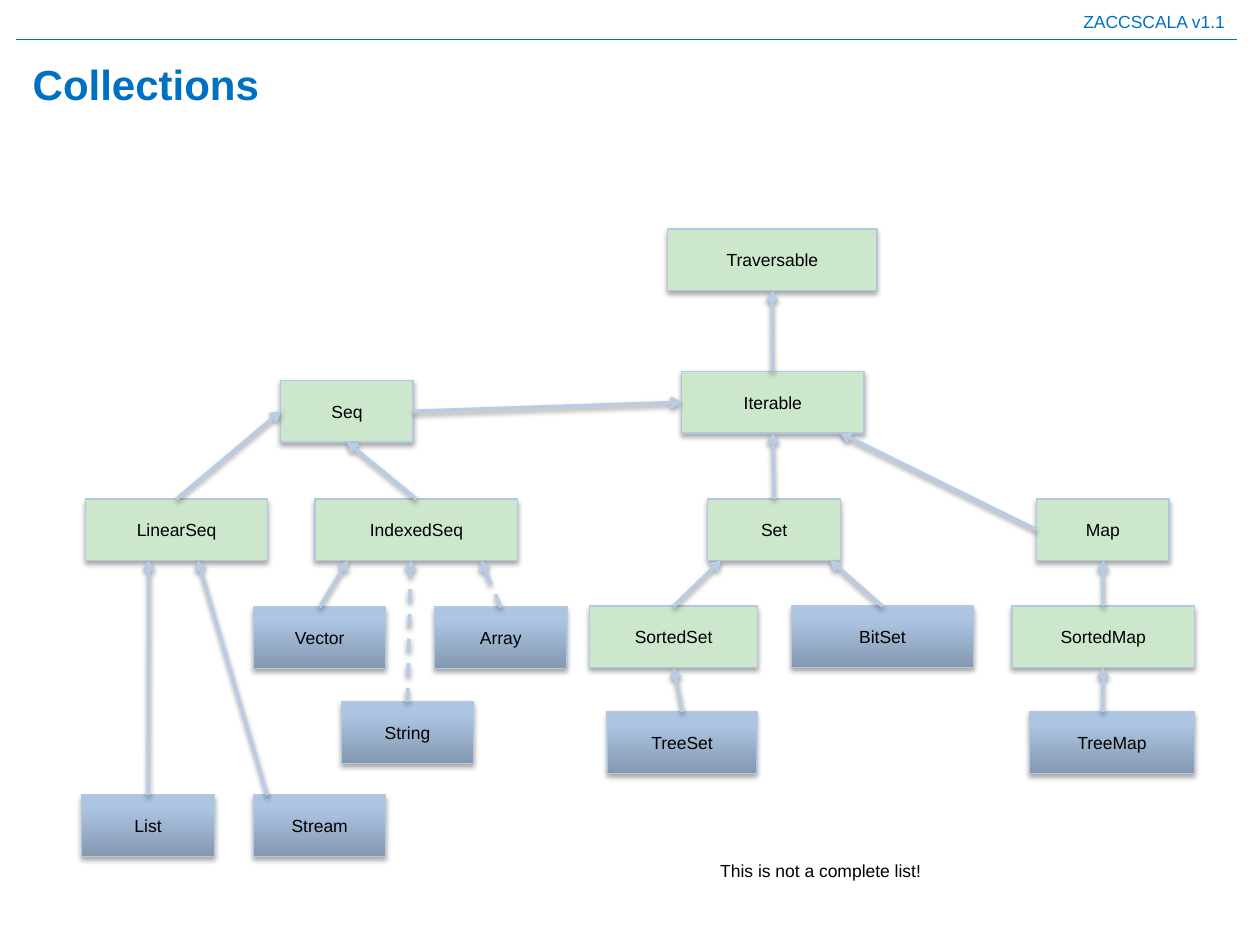
from dataclasses import dataclass
from typing import Optional

from lxml import etree
from pptx import Presentation
from pptx.dml.color import RGBColor
from pptx.enum.dml import MSO_LINE
from pptx.enum.shapes import MSO_CONNECTOR, MSO_SHAPE
from pptx.enum.text import MSO_ANCHOR, MSO_AUTO_SIZE, PP_ALIGN
from pptx.oxml import parse_xml
from pptx.oxml.ns import nsdecls, qn
from pptx.util import Cm, Pt

RECTANGLE = MSO_SHAPE.RECTANGLE
STRAIGHT = MSO_CONNECTOR.STRAIGHT
DASH = MSO_LINE.DASH
TOP, MIDDLE = MSO_ANCHOR.TOP, MSO_ANCHOR.MIDDLE
LEFT, CENTER, RIGHT = PP_ALIGN.LEFT, PP_ALIGN.CENTER, PP_ALIGN.RIGHT
GROW = MSO_AUTO_SIZE.SHAPE_TO_FIT_TEXT

SITE_TOP, SITE_LEFT, SITE_BOTTOM, SITE_RIGHT = range(4)
BLUE, BLACK, GREEN = "0070C0", "000000", "CCE7CC"
BORDER, ARROW = "B3C7E0", "B8CCE4"
GRADIENT = ((0, "8498AF"), (80, "ACC5E3"), (100, "ACC6E5"))
BOX_HEIGHT = 1.24
SMALL = 2.67


@dataclass(frozen=True)
class Node:
    name: str
    left: float
    top: float
    width: float = SMALL
    concrete: bool = False

    def site(self, index: int) -> tuple[float, float]:
        across = {SITE_LEFT: 0, SITE_RIGHT: 1}.get(index, 0.5)
        down = {SITE_TOP: 0, SITE_BOTTOM: 1}.get(index, 0.5)
        return self.left + across * self.width, self.top + down * BOX_HEIGHT


@dataclass(frozen=True)
class Link:
    child: str
    parent: str
    start_site: int = SITE_TOP
    end_site: int = SITE_BOTTOM
    start_x: Optional[float] = None
    end_x: Optional[float] = None
    dashed: bool = False


NODES = (
    Node("Traversable", 13.46, 4.62, 4.22),
    Node("Seq", 5.66, 7.67),
    Node("Iterable", 13.74, 7.49, 3.68),
    Node("Set", 14.27, 10.06),
    Node("Map", 20.9, 10.06),
    Node("LinearSeq", 1.73, 10.06, 3.66),
    Node("IndexedSeq", 6.35, 10.06, 4.09),
    Node("SortedMap", 20.4, 12.22, 3.68),
    Node("SortedSet", 11.89, 12.22, 3.38),
    Node("BitSet", 15.95, 12.22, 3.68, True),
    Node("Vector", 5.11, 12.24, concrete=True),
    Node("Array", 8.76, 12.24, concrete=True),
    Node("String", 6.88, 14.15, concrete=True),
    Node("List", 1.65, 16.03, concrete=True),
    Node("Stream", 5.11, 16.03, concrete=True),
    Node("TreeSet", 12.24, 14.35, 3.02, True),
    Node("TreeMap", 20.75, 14.35, 3.33, True),
)

LINKS = (
    Link("Iterable", "Traversable"),
    Link("Set", "Iterable"),
    Link("Seq", "Iterable", SITE_RIGHT, SITE_LEFT),
    Link("Map", "Iterable", SITE_LEFT, end_x=16.94),
    Link("SortedSet", "Set", end_x=14.53),
    Link("BitSet", "Set", end_x=16.74),
    Link("SortedMap", "Map"),
    Link("LinearSeq", "Seq", end_site=SITE_LEFT),
    Link("IndexedSeq", "Seq"),
    Link("Vector", "IndexedSeq", end_x=7.01),
    Link("Array", "IndexedSeq", end_x=9.7, dashed=True),
    Link("String", "IndexedSeq", end_x=8.28, dashed=True),
    Link("Stream", "LinearSeq", start_x=5.38, end_x=3.99),
    Link("List", "LinearSeq", end_x=3),
    Link("TreeMap", "SortedMap", start_x=22.23),
    Link("TreeSet", "SortedSet"),
)


def color(value: str) -> RGBColor:
    return RGBColor.from_string(value)


def apply(target, values: dict) -> None:
    for name, value in values.items():
        setattr(target, name, value)


def write(shape, text: str, size: float = 10, ink: str = BLACK, bold: bool = False,
          align=LEFT, **frame_values) -> None:
    apply(shape.text_frame, frame_values)
    para = shape.text_frame.paragraphs[0]
    para.alignment = align
    span = para.add_run()
    span.text = text
    apply(span.font, {"name": "Arial", "size": Pt(size), "bold": bold})
    span.font.color.rgb = color(ink)


def add_text(page, left: float, top: float, width: float, height: float, text: str, **values) -> None:
    box = page.shapes.add_textbox(Cm(left), Cm(top), Cm(width), Cm(height))
    write(box, text, **values)


def set_line(shape, ink: str, width: float) -> None:
    shape.line.color.rgb = color(ink)
    shape.line.width = Pt(width)


def add_shadow(shape, distance: float, opacity: int) -> None:
    shape._element.spPr.append(parse_xml(
        f'<a:effectLst {nsdecls("a")}><a:outerShdw blurRad="{Pt(3.1)}" dist="{Pt(distance)}" '
        f'dir="5400000" rotWithShape="0"><a:srgbClr val="{BLACK}">'
        f'<a:alpha val="{opacity * 1000}"/></a:srgbClr></a:outerShdw></a:effectLst>'))


def fill_gradient(shape) -> None:
    stops = "".join(f'<a:gs pos="{place * 1000}"><a:srgbClr val="{ink}"/></a:gs>'
                    for place, ink in GRADIENT)
    shape._element.spPr.find(qn("a:prstGeom")).addnext(parse_xml(
        f'<a:gradFill {nsdecls("a")} rotWithShape="1"><a:gsLst>{stops}</a:gsLst>'
        f'<a:lin ang="16200000" scaled="0"/></a:gradFill>'))


def add_node(page, node: Node):
    box = page.shapes.add_shape(RECTANGLE, Cm(node.left), Cm(node.top), Cm(node.width), Cm(BOX_HEIGHT))
    if node.concrete:
        fill_gradient(box)
    else:
        box.fill.solid()
        box.fill.fore_color.rgb = color(GREEN)
    set_line(box, BORDER, 0.75)
    add_shadow(box, 1.8, 35)
    write(box, node.name, align=CENTER, vertical_anchor=MIDDLE)
    return box


def add_link(page, link: Link, nodes: dict, boxes: dict) -> None:
    start_x, start_y = nodes[link.child].site(link.start_site)
    end_x, end_y = nodes[link.parent].site(link.end_site)
    arrow = page.shapes.add_connector(
        STRAIGHT, Cm(link.start_x or start_x), Cm(start_y), Cm(link.end_x or end_x), Cm(end_y))
    if link.start_x is None:
        arrow.begin_connect(boxes[link.child], link.start_site)
    if link.end_x is None:
        arrow.end_connect(boxes[link.parent], link.end_site)
    set_line(arrow, ARROW, 2)
    if link.dashed:
        arrow.line.dash_style = DASH
    etree.SubElement(arrow.line._get_or_add_ln(), qn("a:tailEnd"), type="arrow")
    add_shadow(arrow, 1.6, 38)


def main() -> None:
    deck = Presentation()
    apply(deck, {"slide_width": Cm(25.4), "slide_height": Cm(19.05)})
    page = deck.slides.add_slide(deck.slide_layouts[6])

    add_text(page, 0, 0.1, 25.4, 0.69, "ZACCSCALA v1.1", ink=BLUE, align=RIGHT,
             word_wrap=True, margin_right=Cm(0.71))
    rule = page.shapes.add_connector(STRAIGHT, Cm(0.33), Cm(0.79), Cm(24.94), Cm(0.79))
    set_line(rule, BLUE, 0.75)
    etree.SubElement(rule._element.spPr, qn("a:effectLst"))
    add_text(page, 0.41, 0.99, 24.41, 1.4, "Collections", size=24, ink=BLUE, bold=True,
             word_wrap=True, vertical_anchor=MIDDLE)

    nodes = {node.name: node for node in NODES}
    boxes = {node.name: add_node(page, node) for node in NODES}
    for link in LINKS:
        add_link(page, link, nodes, boxes)

    add_text(page, 14.27, 17.22, 7.32, 1.02, "This is not a complete list!",
             word_wrap=False, auto_size=GROW, vertical_anchor=TOP)
    deck.save("out.pptx")


if __name__ == "__main__":
    main()
